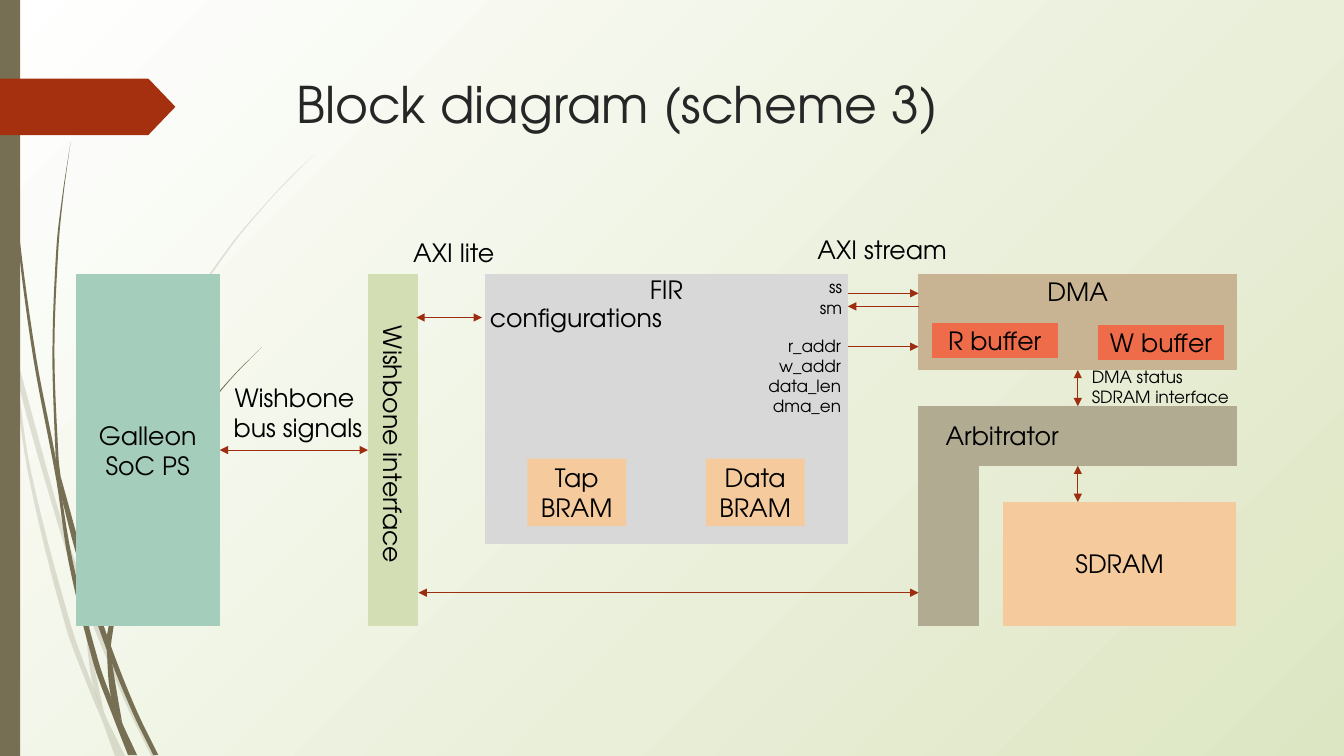
from dataclasses import dataclass
from typing import NamedTuple, Optional

from lxml import etree
from pptx import Presentation
from pptx import util as u
from pptx.dml.color import RGBColor
from pptx.enum import shapes, text
from pptx.oxml.ns import qn

# Grid: every position below is counted in these columns and rows
COLUMNS, ROWS = 1333, 750
WIDTH, HEIGHT = u.Inches(13.33), u.Inches(7.5)
PROCESS = shapes.MSO_SHAPE.FLOWCHART_PROCESS
RECTANGLE = shapes.MSO_SHAPE.RECTANGLE
LEFT, CENTER, RIGHT = text.PP_ALIGN.LEFT, text.PP_ALIGN.CENTER, text.PP_ALIGN.RIGHT
TOP, MIDDLE = text.MSO_ANCHOR.TOP, text.MSO_ANCHOR.MIDDLE


@dataclass(frozen=True)
class Theme:
    font: str = "TeX Gyre Adventor"
    title_size: int = 36
    body_size: int = 18
    small_size: int = 12
    wire_width: float = 0.75
    ink: str = "000000"
    title: str = "262626"
    glow: str = "FFFFFF"
    ground: str = "DDE6C3"
    stem: str = "766F54"
    pale_alpha: int = 20
    flag: str = "A53010"
    wire: str = "9D2D0F"
    processor: str = "A4CDBC"
    bus: str = "D3DEB5"
    memory: str = "F5CB9D"
    dma: str = "C8B492"
    arbiter: str = "B1AB92"
    filter: str = "D8D8D8"
    buffer: str = "EE6C49"


THEME = Theme()


class Area(NamedTuple):
    column: float
    row: float
    columns: float
    rows: float


@dataclass(frozen=True)
class Block:
    name: str
    area: Area
    fill: str
    lines: tuple[str, ...] = ()
    anchor: text.MSO_ANCHOR = MIDDLE
    inset: float = 5  # rows above the text
    outline: shapes.MSO_SHAPE = PROCESS


@dataclass(frozen=True)
class Label:
    area: Area
    lines: tuple[str, ...]
    align: text.PP_ALIGN = LEFT
    size: int = THEME.body_size
    color: str = THEME.ink
    rotation: int = 0


@dataclass(frozen=True)
class Wire:
    begin: tuple[float, float]
    end: tuple[float, float]
    two_way: bool = True
    begin_at: Optional[tuple[str, int]] = None  # block name, side
    end_at: Optional[tuple[str, int]] = None


Edge = list[tuple[float, float]]


@dataclass(frozen=True)
class Wisp:
    left: Edge  # both edges run from top to bottom
    right: Edge
    pale: bool = False


WISPS = [
    Wisp([(0, 299), (10, 344), (28, 470), (65, 621), (92, 693), (101, 714), (114, 750)],
         [(0, 282), (9, 322), (17, 376), (31, 469), (70, 619), (93, 683), (105, 711), (124, 750)], True),
    Wisp([(14, 345), (17, 376), (58, 522), (84, 599), (123, 694), (150, 750)],
         [(14, 345), (62, 520), (85, 586), (92, 607), (127, 692), (155, 750)], True),
    Wisp([(84, 599), (87, 646), (93, 683), (105, 711)],
         [(84, 599), (88, 610), (91, 646), (103, 706), (105, 711)], True),
    Wisp([(312, 153), (289, 175), (268, 197), (228, 244), (158, 348), (107, 461), (85, 584)],
         [(312, 153), (290, 175), (268, 198), (229, 245), (160, 349), (110, 462), (88, 584), (88, 596)], True),
    Wisp([(3, 0), (4, 48), (7, 110), (17, 233), (33, 355), (56, 477), (68, 557), (93, 659), (111, 708), (127, 749)],
         [(4, 0), (5, 48), (8, 109), (19, 232), (36, 355), (55, 453), (72, 556), (98, 657), (110, 691),
          (122, 719), (136, 749)]),
    Wisp([(60, 472), (64, 505), (88, 592), (106, 645), (132, 708), (152, 749)],
         [(60, 472), (93, 590), (113, 649), (136, 706), (157, 749)]),
    Wisp([(70, 141), (62, 193), (56, 245), (52, 349), (55, 449), (57, 477), (64, 505)],
         [(70, 141), (63, 193), (58, 245), (54, 349), (58, 453), (60, 472), (64, 505)]),
    Wisp([(260, 344), (231, 373), (204, 405), (156, 474), (122, 551), (106, 631)],
         [(260, 344), (231, 374), (205, 406), (158, 476), (125, 552), (111, 633), (110, 641)]),
    Wisp([(106, 631), (106, 645), (110, 691), (122, 719)],
         [(106, 631), (110, 641), (111, 656), (121, 716), (122, 719)]),
]

BLOCKS = [
    Block("processor", Area(75, 272, 143, 349), THEME.processor, ("Galleon", "SoC PS")),
    Block("bus", Area(365, 272, 50, 349), THEME.bus),
    Block("sdram", Area(995, 498, 231, 123), THEME.memory),
    Block("dma", Area(911, 272, 316, 95), THEME.dma, ("DMA",), TOP, 2),
    Block("arbiter leg", Area(911, 441, 60, 180), THEME.arbiter),
    Block("filter", Area(481, 272, 360, 268), THEME.filter, ("FIR",), TOP, 0),
    Block("arbiter bar", Area(911, 403, 316, 59), THEME.arbiter),
    Block("read buffer", Area(924, 320, 125, 35), THEME.buffer, ("R buffer",)),
    Block("write buffer", Area(1089, 322, 125, 35), THEME.buffer, ("W buffer",)),
    Block("tap", Area(523, 455, 98, 67), THEME.memory, ("Tap", "BRAM"), outline=RECTANGLE),
    Block("data", Area(700, 455, 98, 67), THEME.memory, ("Data", "BRAM"), outline=RECTANGLE),
]

LABELS = [
    Label(Area(284, 68, 975, 140), ("Block diagram (scheme 3)",), size=THEME.title_size, color=THEME.title),
    Label(Area(209, 421, 362, 40), ("Wishbone interface",), CENTER, rotation=90),
    Label(Area(221, 374, 149, 71), ("Wishbone ", "bus signals"), CENTER),
    Label(Area(1020, 539, 181, 40), ("SDRAM",), CENTER),
    Label(Area(928, 412, 135, 40), ("Arbitrator",)),
    Label(Area(476, 295, 194, 40), ("configurations",)),
    Label(Area(400, 231, 102, 40), ("AXI lite",)),
    Label(Area(801, 228, 150, 40), ("AXI stream",)),
    Label(Area(749, 328, 95, 91), ("r_addr", "w_addr", "data_len", "dma_en"), RIGHT, THEME.small_size),
    Label(Area(803, 270, 42, 50), ("ss", "sm"), RIGHT, THEME.small_size),
    Label(Area(1073, 359, 222, 50), ("DMA status", "SDRAM interface"), LEFT, THEME.small_size),
]

WIRES = [
    Wire((218, 447), (365, 447), begin_at=("processor", 3), end_at=("bus", 1)),
    Wire((1069, 367), (1069, 403), begin_at=("dma", 2), end_at=("arbiter bar", 0)),
    Wire((1069, 462), (1069, 498), begin_at=("arbiter bar", 2)),
    Wire((415, 588), (911, 588)),
    Wire((478, 315), (413, 315)),
    Wire((841, 291), (911, 291), two_way=False),
    Wire((911, 304), (841, 304), two_way=False),
    Wire((841, 344), (911, 344), two_way=False),
]


def across(columns: float) -> int:
    return round(WIDTH * columns / COLUMNS)


def down(rows: float) -> int:
    return round(HEIGHT * rows / ROWS)


def place(area: Area) -> tuple[int, int, int, int]:
    return across(area.column), down(area.row), across(area.columns), down(area.rows)


def paint(shape, color: str) -> None:
    shape.shadow.inherit = False
    shape.fill.solid()
    shape.fill.fore_color.rgb = RGBColor.from_string(color)
    shape.line.fill.background()


def write(frame, lines: tuple[str, ...], align, size: int, color: str) -> None:
    frame.word_wrap = True
    for index, line in enumerate(lines):
        para = frame.add_paragraph() if index else frame.paragraphs[0]
        para.alignment = align
        span = para.add_run()
        span.text = line
        span.font.name, span.font.size = THEME.font, u.Pt(size)
        span.font.color.rgb = RGBColor.from_string(color)


def smooth(edge: Edge, steps: int = 6) -> Edge:
    """Cubic curve through the edge's points, with the column as a function of the row."""
    last = len(edge) - 1
    slopes = []
    for i in range(len(edge)):
        (x0, y0), (x1, y1) = edge[max(i - 1, 0)], edge[min(i + 1, last)]
        slopes.append((x1 - x0) / (y1 - y0))
    curve = [edge[0]]
    for i in range(last):
        (x0, y0), (x1, y1) = edge[i], edge[i + 1]
        rise = y1 - y0
        for step in range(1, steps + 1):
            t = step / steps
            blend = t * t * (3 - 2 * t)
            bend = t * (1 - t) ** 2 * slopes[i] - t * t * (1 - t) * slopes[i + 1]
            curve.append((x0 + (x1 - x0) * blend + rise * bend, y0 + rise * t))
    return curve


def add_wisp(page, wisp: Wisp) -> None:
    points = [(across(x), down(y)) for x, y in smooth(wisp.left) + smooth(wisp.right)[::-1]]
    builder = page.shapes.build_freeform(*points[0])
    builder.add_line_segments(points[1:], close=True)
    shape = builder.convert_to_shape()
    paint(shape, THEME.stem)
    if wisp.pale:
        color = shape.element.spPr.find(qn("a:solidFill")).find(qn("a:srgbClr"))
        etree.SubElement(color, qn("a:alpha"), val=str(THEME.pale_alpha * 1000))


def add_block(page, block: Block):
    box = page.shapes.add_shape(block.outline, *place(block.area))
    paint(box, block.fill)
    box.text_frame.vertical_anchor = block.anchor
    box.text_frame.margin_top = down(block.inset)
    write(box.text_frame, block.lines, CENTER, THEME.body_size, THEME.ink)
    return box


def add_label(page, label: Label) -> None:
    box = page.shapes.add_textbox(*place(label.area))
    box.rotation = label.rotation
    write(box.text_frame, label.lines, label.align, label.size, label.color)


def add_wire(page, wire: Wire, boxes: dict) -> None:
    ends = [length for x, y in (wire.begin, wire.end) for length in (across(x), down(y))]
    line = page.shapes.add_connector(shapes.MSO_CONNECTOR.STRAIGHT, *ends)
    if wire.begin_at:
        line.begin_connect(boxes[wire.begin_at[0]], wire.begin_at[1])
    if wire.end_at:
        line.end_connect(boxes[wire.end_at[0]], wire.end_at[1])
    line.line.width = u.Pt(THEME.wire_width)
    line.line.color.rgb = RGBColor.from_string(THEME.wire)
    properties = line.element.spPr
    for tag in ("a:headEnd", "a:tailEnd") if wire.two_way else ("a:tailEnd",):
        etree.SubElement(properties.find(qn("a:ln")), qn(tag), type="triangle")
    etree.SubElement(properties, qn("a:effectLst"))


def add_background(page) -> None:
    fill = page.background.fill
    fill.gradient()
    for stop, color, position in zip(fill.gradient_stops, (THEME.glow, THEME.ground), (0, 1)):
        stop.color.rgb, stop.position = RGBColor.from_string(color), position
    gradient = next(page.element.iter(qn("a:gradFill")))
    gradient.remove(gradient.find(qn("a:lin")))
    circle = etree.Element(qn("a:path"), path="circle")
    etree.SubElement(circle, qn("a:fillToRect"), r="100000", b="100000")
    gradient.find(qn("a:gsLst")).addnext(circle)


def main() -> None:
    deck = Presentation()
    deck.slide_width, deck.slide_height = WIDTH, HEIGHT
    page = deck.slides.add_slide(deck.slide_layouts[6])

    # Backdrop: gradient, grass, side bar and flag
    add_background(page)
    for wisp in WISPS:
        add_wisp(page, wisp)
    paint(page.shapes.add_shape(RECTANGLE, *place(Area(0, 0, 20, ROWS))), THEME.stem)
    flag = page.shapes.add_shape(shapes.MSO_SHAPE.PENTAGON, *place(Area(0, 78, 174, 56)))
    flag.adjustments[0] = 0.48
    paint(flag, THEME.flag)

    # Diagram: blocks, wires, then labels
    boxes = {block.name: add_block(page, block) for block in BLOCKS}
    for wire in WIRES:
        add_wire(page, wire, boxes)
    for label in LABELS:
        add_label(page, label)
    deck.save("out.pptx")


if __name__ == "__main__":
    main()
